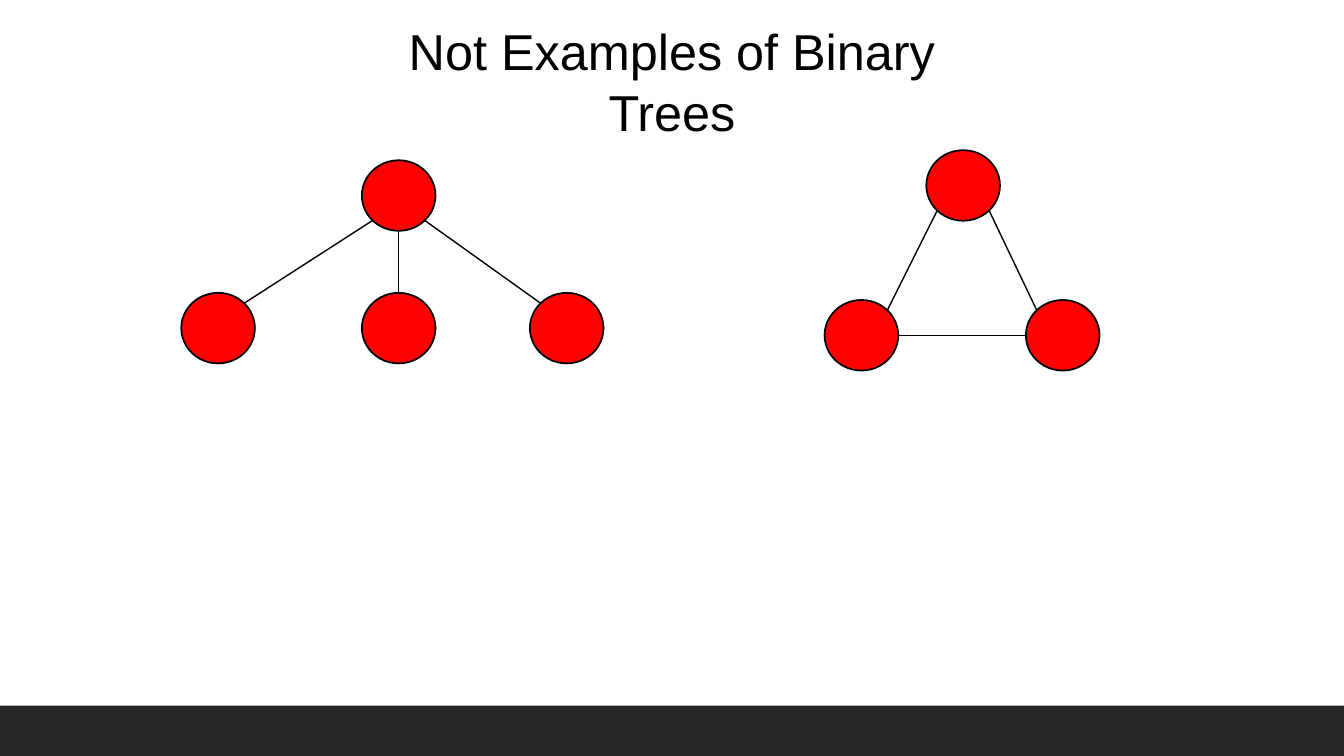
from lxml import etree
from pptx import Presentation
from pptx.dml.color import RGBColor
from pptx.enum.shapes import MSO_CONNECTOR, MSO_SHAPE
from pptx.enum.text import MSO_ANCHOR, MSO_AUTO_SIZE, PP_ALIGN
from pptx.oxml.ns import qn
from pptx.util import Pt

RECT, OVAL = MSO_SHAPE.RECTANGLE, MSO_SHAPE.OVAL
STRAIGHT = MSO_CONNECTOR.STRAIGHT
TOP, CENTER, NO_FIT = MSO_ANCHOR.TOP, PP_ALIGN.CENTER, MSO_AUTO_SIZE.NONE

SLIDE_W, SLIDE_H = 960, 540
NODE_W, NODE_H = 52.6, 50.4
BLACK, RED, CHARCOAL = "000000", "FF0000", "262626"
SITES = {
    "top": (0.5, 0), "bottom": (0.5, 1), "left": (0, 0.5), "right": (1, 0.5),
    "top_left": (0.15, 0.15), "top_right": (0.85, 0.15),
    "bottom_left": (0.15, 0.85), "bottom_right": (0.85, 0.85),
}


def rgb(value):
    """Return the colour of a hex string."""
    return RGBColor.from_string(value)


def apply(obj, formats):
    """Set each attribute of an object from a dict."""
    for name, value in formats.items():
        setattr(obj, name, value)


def add_solid(s, kind, box, color):
    """Add a filled shape without shadow or outline."""
    sp = s.shapes.add_shape(kind, *map(Pt, box))
    sp.shadow.inherit = False
    sp.fill.solid()
    sp.fill.fore_color.rgb = rgb(color)
    sp.line.fill.background()
    return sp


def add_title(s, box, text):
    """Place the title placeholder in its box and format its text."""
    sp = s.shapes.title
    apply(sp, dict(zip(("left", "top", "width", "height"), map(Pt, box))))
    tf = sp.text_frame
    tf.text = text
    apply(tf, {"word_wrap": True, "auto_size": NO_FIT, "vertical_anchor": TOP})
    p = tf.paragraphs[0]
    p.alignment = CENTER
    r = p.runs[0]
    apply(r.font, {"name": "Arial", "size": Pt(36)})
    r.font.color.rgb = rgb(BLACK)


def add_edge(s, start, end):
    """Add a thin line between two points."""
    cxn = s.shapes.add_connector(STRAIGHT, *map(Pt, start + end))
    cxn.line.width = Pt(1)
    cxn.line.color.rgb = rgb(BLACK)
    etree.SubElement(cxn._element.spPr, qn("a:effectLst"))


def add_graph(s, left, top, nodes, edges):
    """Draw nodes and edges relative to the top left corner of a graph."""
    def site(node, side):
        (x, y), (fx, fy) = nodes[node], SITES[side]
        return left + x + fx * NODE_W, top + y + fy * NODE_H

    for x, y in nodes:
        sp = add_solid(s, OVAL, (left + x, top + y, NODE_W, NODE_H), RED)
        sp.line.width = Pt(1.25)
        sp.line.color.rgb = rgb(BLACK)
    for a, side_a, b, side_b in edges:
        add_edge(s, site(a, side_a), site(b, side_b))


def main():
    """Build the slide and save it."""
    prs = Presentation()
    apply(prs, {"slide_width": Pt(SLIDE_W), "slide_height": Pt(SLIDE_H)})
    s = prs.slides.add_slide(prs.slide_layouts.get_by_name("Title Only"))
    add_solid(s, RECT, (0, SLIDE_H - 36, SLIDE_W, 36), CHARCOAL)
    add_title(s, (237, 11, 486, 51), "Not Examples of Binary Trees")

    outer_edges = [(0, "bottom_left", 1, "top_right"),
                   (0, "bottom_right", 2, "top_left")]
    add_graph(s, 129.5, 114.5,
              [(129, 0), (0, 94.7), (249, 94.7), (129, 94.7)],
              outer_edges + [(0, "bottom", 3, "top")])
    add_graph(s, 589, 107.3,
              [(72.7, 0), (0, 107), (143.8, 107)],
              outer_edges + [(1, "right", 2, "left")])
    prs.save("out.pptx")


if __name__ == "__main__":
    main()
